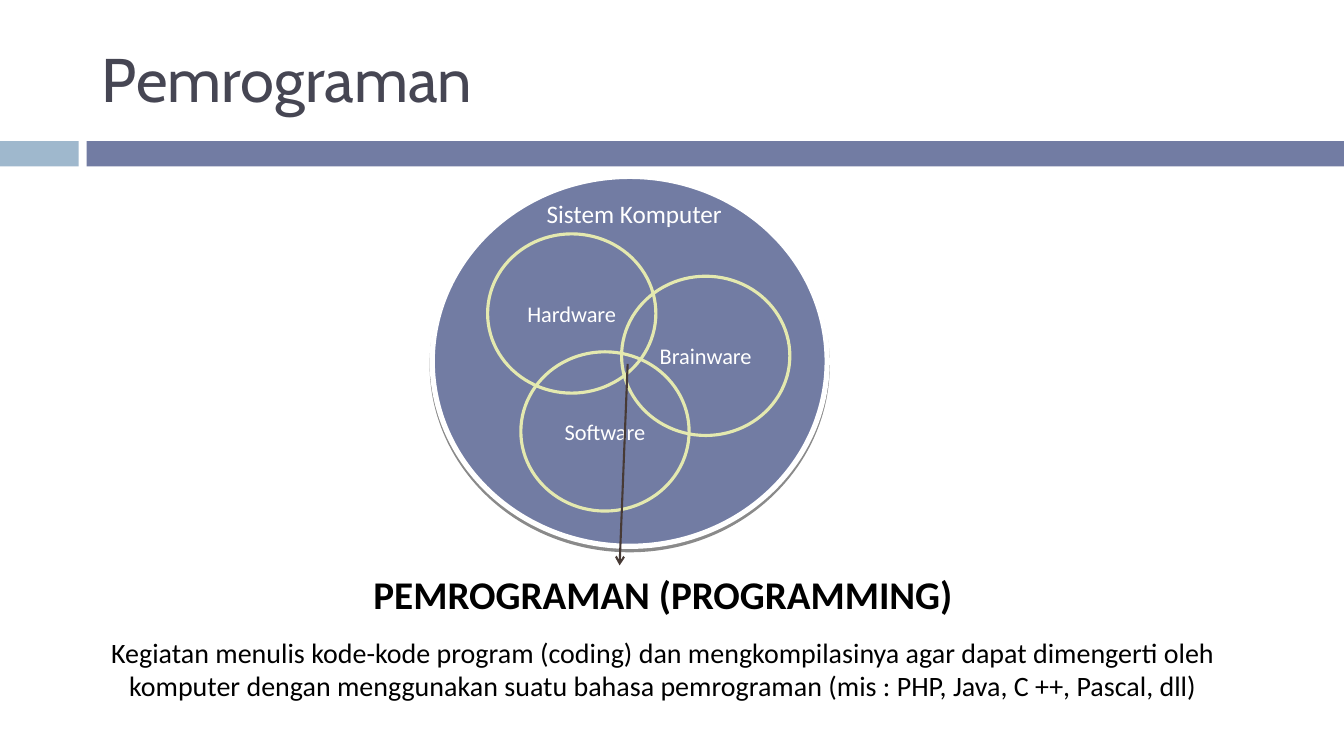
from lxml import etree
from pptx import Presentation
from pptx.dml.color import RGBColor
from pptx.enum.shapes import MSO_CONNECTOR, MSO_SHAPE
from pptx.enum.text import MSO_ANCHOR, PP_ALIGN
from pptx.oxml import parse_xml
from pptx.oxml.ns import nsdecls, qn
from pptx.util import Pt

PX = 9144  # EMU in one px, 100 px to the inch

RECTANGLE, OVAL = MSO_SHAPE.RECTANGLE, MSO_SHAPE.OVAL
STRAIGHT = MSO_CONNECTOR.STRAIGHT
MIDDLE, TOP = MSO_ANCHOR.MIDDLE, MSO_ANCHOR.TOP
LEFT, CENTER = PP_ALIGN.LEFT, PP_ALIGN.CENTER

SLATE = RGBColor(0x72, 0x7C, 0xA3)
LIGHT_BLUE = RGBColor(0x9F, 0xB8, 0xCD)
LIME = RGBColor(0xE4, 0xE9, 0xAF)
BROWN = RGBColor(0x47, 0x3A, 0x35)
DARK_GRAY = RGBColor(0x46, 0x46, 0x53)
WHITE = RGBColor(0xFF, 0xFF, 0xFF)
BLACK = RGBColor(0, 0, 0)

CIRCLE_WIDTH, CIRCLE_HEIGHT = 167, 158
CIRCLES = [("Hardware", 484, 232), ("Brainware", 617, 274), ("Software", 517, 349)]

DESCRIPTION = (
    "Kegiatan menulis kode-kode program (coding) dan mengkompilasinya agar dapat "
    "dimengerti oleh komputer dengan menggunakan suatu bahasa pemrograman "
    "(mis : PHP, Java, C ++, Pascal, dll)"
)


def scaled(*lengths):
    return [length * PX for length in lengths]


def format_paragraph(para, text, size, color, name="Calibri", bold=False,
                     align=CENTER, space_before=0):
    para.alignment = align
    para.space_before = Pt(space_before)
    span = para.add_run()
    span.text = text
    span.font.color.rgb = color
    values = {"name": name, "size": Pt(size), "bold": bold}
    for attribute, value in values.items():
        setattr(span.font, attribute, value)


def format_frame(frame, anchor, wrap=True):
    values = {"margin_left": 10 * PX, "margin_right": 10 * PX,
              "margin_top": 5 * PX, "margin_bottom": 5 * PX,
              "vertical_anchor": anchor, "word_wrap": wrap}
    for attribute, value in values.items():
        setattr(frame, attribute, value)


def add_title(page, text):
    title = page.shapes.title
    title.left, title.top, title.width, title.height = scaled(91, 23, 1189, 108)
    format_frame(title.text_frame, MIDDLE)
    format_paragraph(title.text_frame.paragraphs[0], text, 44, DARK_GRAY,
                     name="Cabin", align=LEFT)


def add_figure(page, kind, bounds, fill=None, line=None, line_width=0):
    figure = page.shapes.add_shape(kind, *scaled(*bounds))
    figure.shadow.inherit = False
    if fill is None:
        figure.fill.background()
    else:
        figure.fill.solid()
        figure.fill.fore_color.rgb = fill
    if line is None:
        figure.line.fill.background()
    else:
        figure.line.color.rgb = line
        figure.line.width = Pt(line_width)
    return figure


def add_drop_shadow(figure):
    effects = figure._element.spPr.find(qn("a:effectLst"))
    effects.append(parse_xml(
        f'<a:outerShdw {nsdecls("a")} blurRad="0" dist="{Pt(2.4)}" dir="5400000" '
        'rotWithShape="0"><a:srgbClr val="000000"><a:alpha val="45000"/>'
        '</a:srgbClr></a:outerShdw>'))


def add_circle(page, label, left, top):
    circle = add_figure(page, OVAL, (left, top, CIRCLE_WIDTH, CIRCLE_HEIGHT),
                        line=LIME, line_width=2.25)
    format_frame(circle.text_frame, MIDDLE, wrap=False)
    format_paragraph(circle.text_frame.paragraphs[0], label, 16, WHITE)


def add_text(page, bounds):
    box = page.shapes.add_textbox(*scaled(*bounds))
    format_frame(box.text_frame, TOP)
    return box.text_frame


def add_arrow(page, start, end):
    arrow = page.shapes.add_connector(STRAIGHT, *scaled(*start, *end))
    arrow.line.color.rgb = BROWN
    arrow.line.width = Pt(1.5)
    etree.SubElement(arrow.line._get_or_add_ln(), qn("a:tailEnd"), type="arrow")
    etree.SubElement(arrow._element.spPr, qn("a:effectLst"))


def main():
    deck = Presentation()
    deck.slide_width, deck.slide_height = scaled(1334, 750)
    page = deck.slides.add_slide(deck.slide_layouts[5])

    # Title and the band below it
    add_title(page, "Pemrograman")
    add_figure(page, RECTANGLE, (0, 140, 78, 25), fill=LIGHT_BLUE)
    add_figure(page, RECTANGLE, (86, 140, 1248, 25), fill=SLATE)

    # Definition of programming
    definition = add_text(page, (91, 561, 1134, 141))
    format_paragraph(definition.paragraphs[0], "PEMROGRAMAN (PROGRAMMING)",
                     28, BLACK, bold=True)
    format_paragraph(definition.add_paragraph(), DESCRIPTION, 20, BLACK,
                     space_before=12.5)

    # Computer system with its three overlapping parts
    system = add_figure(page, OVAL, (429, 175, 392, 367), SLATE, WHITE, 3.75)
    add_drop_shadow(system)
    caption = add_text(page, (519, 192, 221, 40))
    format_paragraph(caption.paragraphs[0], "Sistem Komputer", 18, WHITE)
    for label, left, top in CIRCLES:
        add_circle(page, label, left, top)

    # Arrow from the shared area to the definition
    add_arrow(page, (623, 361), (615, 561))

    deck.save("out.pptx")


if __name__ == "__main__":
    main()
